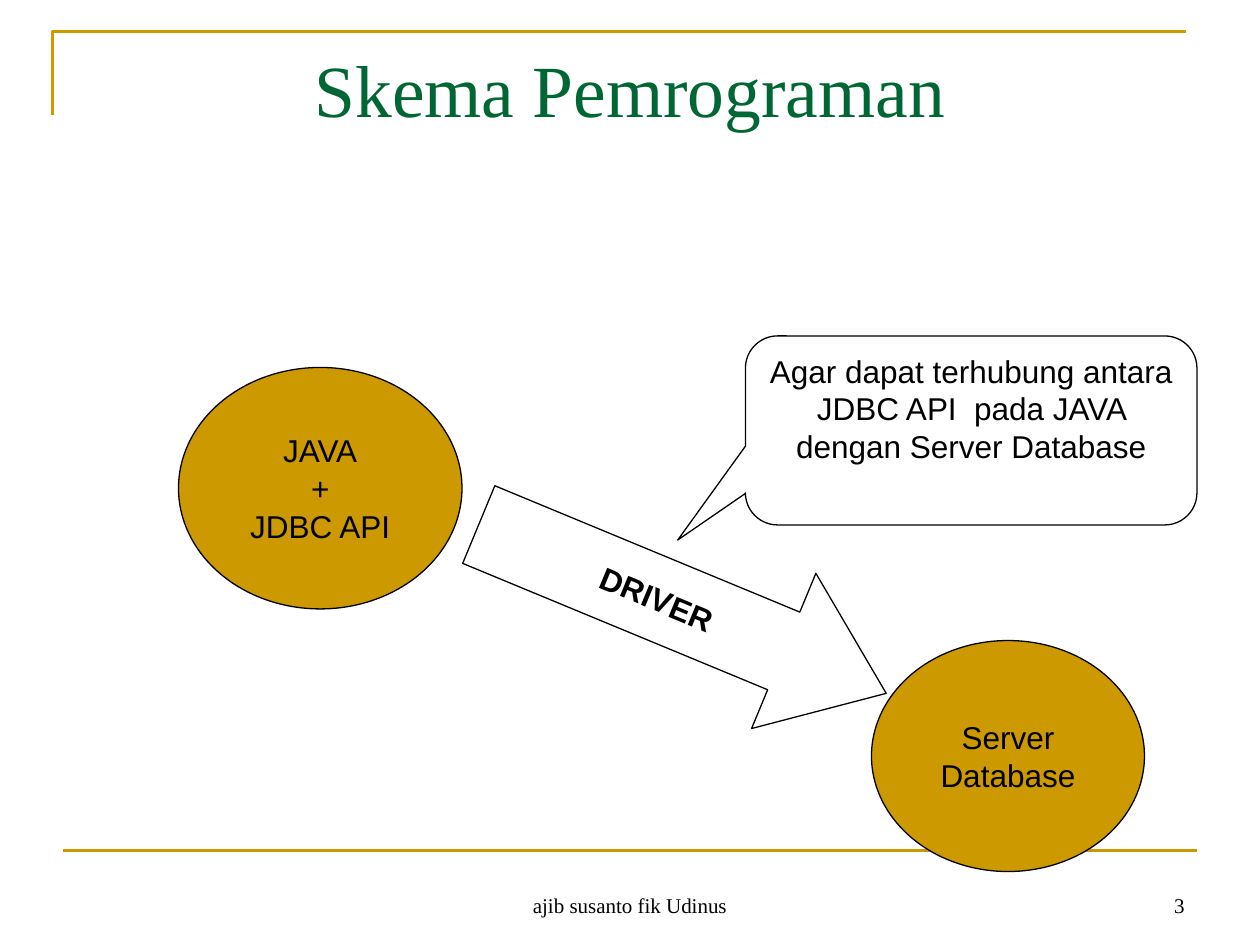
from dataclasses import dataclass

from lxml.etree import SubElement
from pptx import Presentation
from pptx.dml.color import RGBColor
from pptx.enum.shapes import MSO_CONNECTOR as Link, MSO_SHAPE as Shape
from pptx.enum.text import MSO_ANCHOR as Anchor, PP_ALIGN as Align
from pptx.oxml.ns import qn
from pptx.util import Inches, Pt


@dataclass(frozen=True)
class Theme:
    """Colours, fonts, type sizes and line widths of the deck."""
    gold: RGBColor = RGBColor(0xCC, 0x99, 0x00)
    green: RGBColor = RGBColor(0x00, 0x66, 0x33)
    ink: RGBColor = RGBColor(0, 0, 0)
    serif: str = "Times New Roman"
    sans: str = "Arial"
    title: int = 42
    body: int = 18
    small: int = 12
    rule: float = 1.5
    outline: float = 0.75


class Board:
    """Draws on one slide with a grid of twelve cells to the inch."""

    def __init__(self, slide, theme):
        """Keep the slide's shapes and the theme."""
        self.shapes = slide.shapes
        self.theme = theme

    def cells(self, *counts):
        """Turn grid cells into lengths."""
        return [Inches(count / 12) for count in counts]

    def stroke(self, line, color, width):
        """Set the colour and width of a line."""
        line.color.rgb = color
        line.width = Pt(width)

    def set_text(self, shape, lines, size, font, color, anchor=Anchor.MIDDLE,
                 align=Align.CENTER, bold=False, wrap=True):
        """Fill a shape with one paragraph for each line."""
        frame = shape.text_frame
        frame.word_wrap = wrap
        frame.vertical_anchor = anchor
        for index, line in enumerate(lines):
            paragraph = frame.add_paragraph() if index else frame.paragraphs[0]
            paragraph.alignment = align
            run = paragraph.add_run()
            run.text = line
            run.font.size = Pt(size)
            run.font.name = font
            run.font.bold = bold
            run.font.color.rgb = color

    def label(self, box, words, size, color, **layout):
        """Add a serif text box."""
        holder = self.shapes.add_textbox(*self.cells(*box))
        self.set_text(holder, [words], size, self.theme.serif, color, **layout)

    def figure(self, kind, box, lines, fill=None, adjust=(), turn=0, **layout):
        """Add an outlined preset shape with text."""
        figure = self.shapes.add_shape(kind, *self.cells(*box))
        figure.shadow.inherit = False
        for index, value in enumerate(adjust):
            figure.adjustments[index] = value
        figure.rotation = turn
        if fill is None:
            figure.fill.background()
        else:
            figure.fill.solid()
            figure.fill.fore_color.rgb = fill
        self.stroke(figure.line, self.theme.ink, self.theme.outline)
        self.set_text(figure, lines, self.theme.body, self.theme.sans,
                      self.theme.ink, **layout)

    def corner(self, *points):
        """Draw an open gold outline through the points."""
        start, *rest = [self.cells(*point) for point in points]
        builder = self.shapes.build_freeform(*start)
        builder.add_line_segments(rest, close=False)
        corner = builder.convert_to_shape()
        corner.shadow.inherit = False
        corner.fill.background()
        self.stroke(corner.line, self.theme.gold, self.theme.rule)

    def rule(self, *ends):
        """Draw a straight gold rule."""
        rule = self.shapes.add_connector(Link.STRAIGHT, *self.cells(*ends))
        SubElement(rule._element.spPr, qn("a:effectLst"))
        self.stroke(rule.line, self.theme.gold, self.theme.rule)


def main():
    """Build the slide and save it."""
    deck = Presentation()
    deck.slide_width, deck.slide_height = Inches(10), Inches(7.5)
    theme = Theme()
    board = Board(deck.slides.add_slide(deck.slide_layouts[6]), theme)

    board.corner((5, 11), (5, 3), (113, 3))
    board.rule(6, 81, 114, 81)
    board.label((41, 82, 38, 6), "ajib susanto fik Udinus", theme.small,
                theme.ink, anchor=Anchor.BOTTOM)
    board.label((86, 82, 28, 6), "3", theme.small, theme.ink,
                anchor=Anchor.BOTTOM, align=Align.RIGHT)
    board.label((6, 3.6, 108, 15), "Skema Pemrograman", theme.title,
                theme.green, anchor=Anchor.TOP)

    board.figure(Shape.OVAL, (17, 35, 27, 23), ["JAVA", "+", "JDBC API"],
                 fill=theme.gold, wrap=False)
    board.figure(Shape.OVAL, (83, 61, 26, 22), ["Server", "Database"],
                 fill=theme.gold, wrap=False)
    board.figure(Shape.RIGHT_ARROW, (44, 50, 42, 16), ["DRIVER"],
                 adjust=(0.5, 0.66), turn=22.5, bold=True, wrap=False)
    board.figure(Shape.ROUNDED_RECTANGULAR_CALLOUT, (71, 32, 43, 18),
                 ["Agar dapat terhubung antara JDBC API  pada JAVA "
                  "dengan Server Database"],
                 adjust=(-0.65, 0.58, 0.17), anchor=Anchor.TOP)

    deck.save("out.pptx")


if __name__ == "__main__":
    main()
